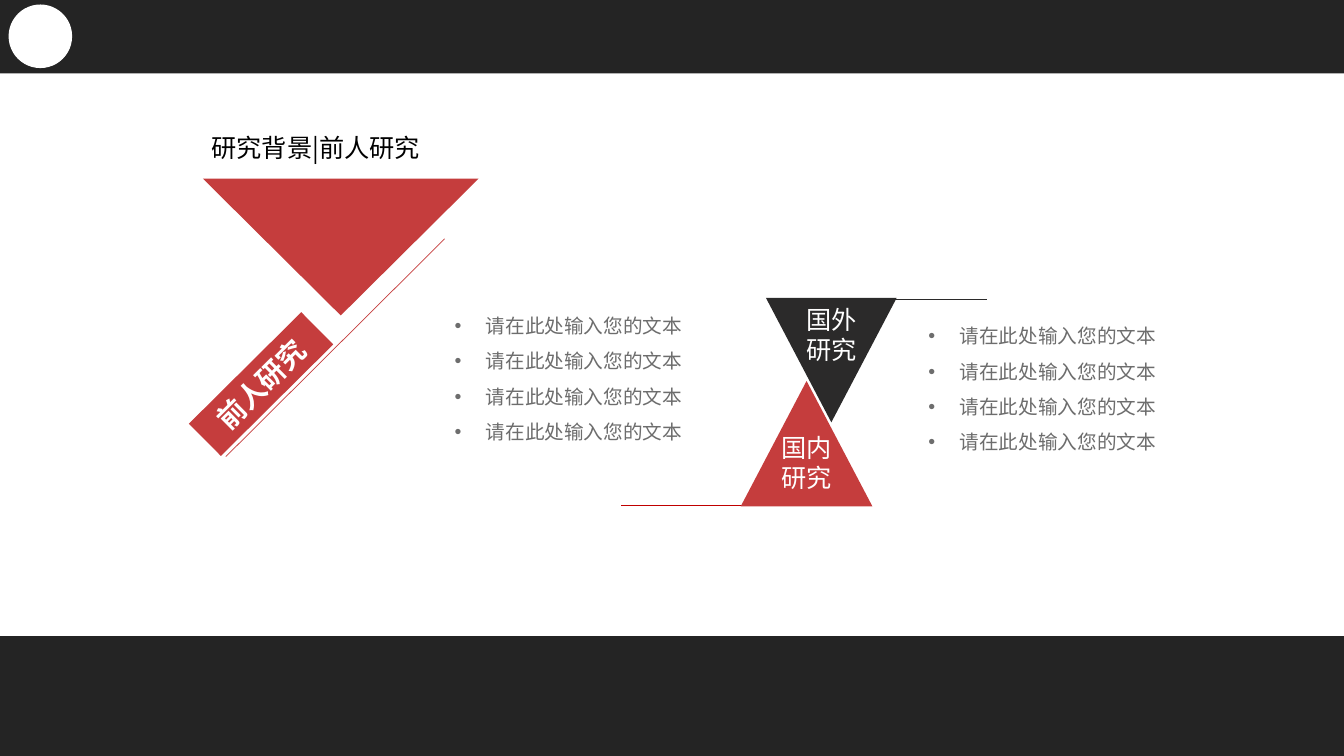
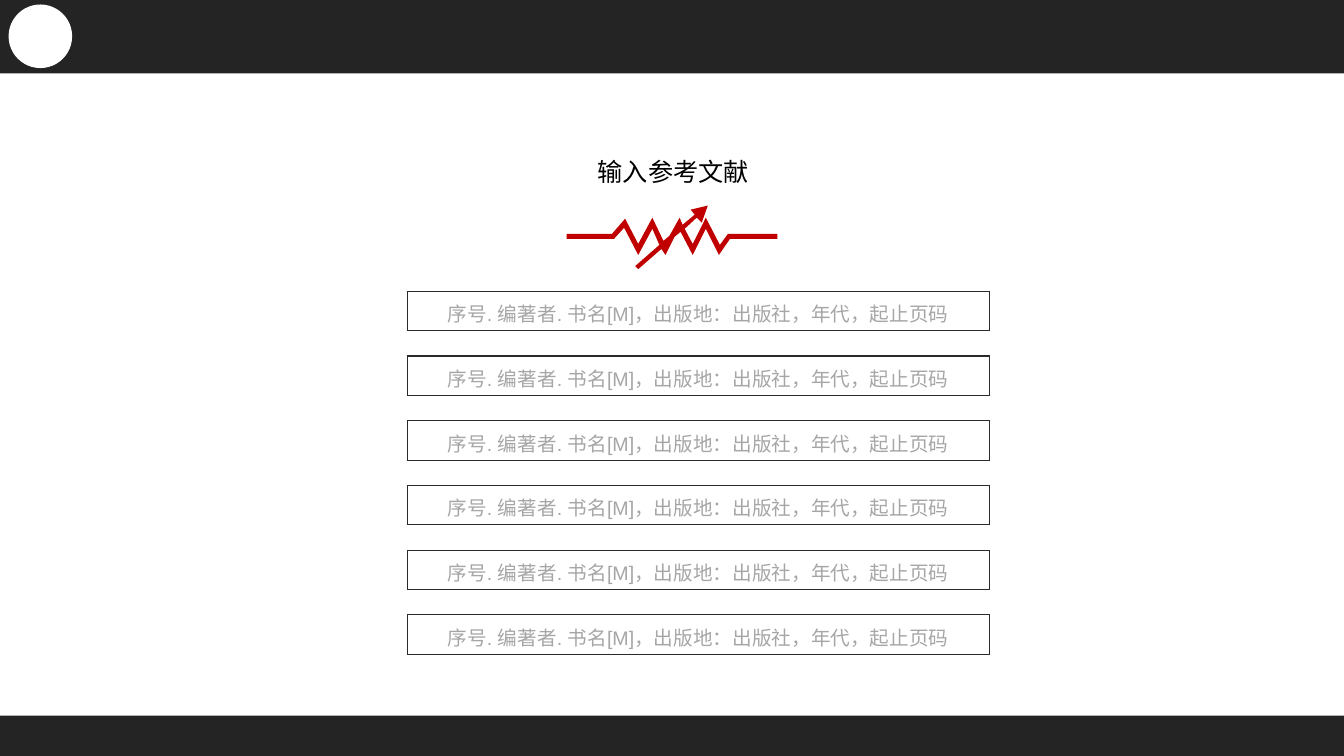
from lxml import etree
from pptx import Presentation
from pptx import util as u
from pptx.dml.color import RGBColor
from pptx.enum import shapes, text
from pptx.oxml.ns import qn

WIDTH, HEIGHT = 13.33, 7.5
BAND, DARK, RED, DEEP_RED = "242424", "2B2A2A", "C53D3D", "C00000"
WHITE, BLACK, GREY, PALE = "FFFFFF", "000000", "6D6D6D", "A6A6A6"
SANS_JP, SANS_SC = "Noto Sans CJK JP", "Noto Sans CJK SC"
HEADER_HEIGHT = 0.73
INDENT = 0.31

TITLE = {"size": 18, "color": BLACK}
BULLET = {"size": 14, "color": GREY, "font": SANS_SC}
TRIANGLE_LABEL = {"size": 18, "color": WHITE, "font": SANS_SC}
TAG_LABEL = {"size": 20, "color": WHITE, "font": SANS_JP, "bold": True}
REFERENCE = {"size": 14, "color": PALE, "font": "Arial", "east_asian": SANS_SC}

BULLET_LINES = ["请在此处输入您的文本"] * 4
REFERENCE_TEXT = "序号. 编著者. 书名[M]，出版地：出版社，年代，起止页码"
REFERENCE_COUNT = 6
FIRST_ROW, LAST_ROW = 2.89, 6.1

FUNNEL = [(2.03, 1.78), (4.73, 1.78), (3.38, 3.12)]
RESISTOR = [
    (7.02, 2.04), (6.96, 2.21), (6.91, 2.16), (6.79, 2.27), (6.87, 2.42),
    (6.97, 2.22), (7, 2.16), (7.14, 2.43), (7.22, 2.32), (7.71, 2.32),
    (7.71, 2.37), (7.24, 2.37), (7.13, 2.53), (7, 2.27), (6.87, 2.53),
    (6.75, 2.3), (6.69, 2.35), (6.6, 2.53), (6.56, 2.47), (6.33, 2.67),
    (6.3, 2.64), (6.54, 2.43), (6.47, 2.27), (6.33, 2.53), (6.19, 2.26),
    (6.09, 2.37), (5.62, 2.37), (5.62, 2.32), (6.07, 2.32), (6.2, 2.17),
    (6.33, 2.42), (6.47, 2.16), (6.58, 2.39), (6.64, 2.34), (6.74, 2.16),
    (6.77, 2.23), (6.89, 2.13), (6.85, 2.08),
]


def rgb(value):
    return RGBColor.from_string(value)


def paint(shape, fill=None, line=None, weight=0.75):
    """Set fill and sharp-cornered outline; None leaves either one empty."""
    shape.shadow.inherit = False
    if fill:
        shape.fill.solid()
        shape.fill.fore_color.rgb = rgb(fill)
    else:
        shape.fill.background()
    if line:
        shape.line.color.rgb = rgb(line)
        shape.line.width = u.Pt(weight)
        outline = shape._element.spPr.find(qn("a:ln"))
        etree.SubElement(outline, qn("a:miter"), lim="800000")
    else:
        shape.line.fill.background()


def add_preset(page, kind, place, rotation=0, **colours):
    shape = page.shapes.add_shape(kind, *map(u.Inches, place))
    shape.rotation = rotation
    paint(shape, **colours)
    return shape


def add_outline(page, points, **colours):
    corners = [(u.Inches(x), u.Inches(y)) for x, y in points]
    builder = page.shapes.build_freeform(*corners[0])
    builder.add_line_segments(corners[1:], close=True)
    paint(builder.convert_to_shape(), **colours)


def add_line(page, start, end, colour):
    line = page.shapes.add_connector(
        shapes.MSO_CONNECTOR.STRAIGHT, *map(u.Inches, start + end))
    line.line.color.rgb = rgb(colour)
    line.line.width = u.Pt(0.5)
    etree.SubElement(line._element.spPr, qn("a:effectLst"))


def write(shape, lines, style, align=text.PP_ALIGN.LEFT, **frame_format):
    """Fill a shape with one paragraph per line; return the paragraphs."""
    frame = shape.text_frame
    frame.word_wrap = True
    for name, value in frame_format.items():
        setattr(frame, name, value)
    frame.text = "\n".join(lines)
    font_format = {"size": u.Pt(style["size"]), "name": style["font"],
                   "bold": style.get("bold", False)}
    for para in frame.paragraphs:
        para.alignment = align
        span = para.runs[0]
        for name, value in font_format.items():
            setattr(span.font, name, value)
        span.font.color.rgb = rgb(style["color"])
        etree.SubElement(span._r.get_or_add_rPr(), qn("a:ea"),
                         typeface=style.get("east_asian", style["font"]))
    return frame.paragraphs


def add_text(page, place, lines, style, align=text.PP_ALIGN.LEFT,
             auto_size=text.MSO_AUTO_SIZE.SHAPE_TO_FIT_TEXT):
    box = page.shapes.add_textbox(*map(u.Inches, place))
    return write(box, lines, style, align, auto_size=auto_size)


def add_bullets(page, left, top):
    paras = add_text(page, (left, top, 2.68, 1.11), BULLET_LINES, BULLET,
                     text.PP_ALIGN.JUSTIFY, text.MSO_AUTO_SIZE.NONE)
    for para in paras:
        para.line_spacing = 1.5
        props = para._p.get_or_add_pPr()
        props.set("marL", str(u.Inches(INDENT)))
        props.set("indent", str(-u.Inches(INDENT)))
        etree.SubElement(props, qn("a:buFont"), typeface="Arial")
        etree.SubElement(props, qn("a:buChar"), char="•")


def add_page(deck, footer_height):
    """Add a blank slide with its header, badge and footer."""
    page = deck.slides.add_slide(deck.slide_layouts[6])
    bands = ((0, HEADER_HEIGHT), (HEIGHT - footer_height, footer_height))
    for top, height in bands:
        add_preset(page, shapes.MSO_SHAPE.RECTANGLE,
                   (0, top, WIDTH, height), fill=BAND)
    add_preset(page, shapes.MSO_SHAPE.OVAL, (0.09, 0.05, 0.62, 0.62),
               fill=WHITE, line=WHITE)
    return page


def build_research(deck):
    page = add_page(deck, 1.19)
    add_line(page, (4.41, 2.37), (2.24, 4.53), RED)
    add_outline(page, FUNNEL, fill=RED, line=RED, weight=1)
    tag = add_preset(page, shapes.MSO_SHAPE.RECTANGLE,
                     (1.81, 3.59, 1.56, 0.44), 315.2, fill=RED, line=RED)
    write(tag, ["前人研究"], TAG_LABEL, text.PP_ALIGN.CENTER)
    add_text(page, (2, 1.26, 7.36, 0.4), ["研究背景|前人研究"],
             {**TITLE, "font": SANS_JP})

    triangle = shapes.MSO_SHAPE.ISOSCELES_TRIANGLE
    add_preset(page, triangle, (7.62, 2.97, 1.25, 1.19), 180,
               fill=DARK, line=DARK, weight=2)
    add_line(page, (8.87, 2.97), (9.79, 2.97), DARK)
    add_line(page, (7.37, 5.01), (6.16, 5.01), DEEP_RED)
    domestic = add_preset(page, triangle, (7.37, 3.81, 1.26, 1.2),
                          fill=RED, line=RED, weight=2)
    write(domestic, ["国内研究"], TRIANGLE_LABEL, text.PP_ALIGN.CENTER,
          vertical_anchor=text.MSO_ANCHOR.BOTTOM, margin_left=0,
          margin_top=0, margin_right=0, margin_bottom=u.Inches(0.12))
    add_text(page, (7.9, 2.97, 0.73, 0.71), ["国外研究"], TRIANGLE_LABEL)
    add_bullets(page, 4.41, 2.95)
    add_bullets(page, 9.11, 3.05)


def build_references(deck):
    page = add_page(deck, 0.4)
    add_outline(page, RESISTOR, fill=DEEP_RED)
    add_text(page, (5.83, 1.5, 1.91, 0.4), ["输入参考文献"],
             {**TITLE, "font": SANS_SC})
    pitch = (LAST_ROW - FIRST_ROW) / (REFERENCE_COUNT - 1)
    for row in range(REFERENCE_COUNT):
        box = add_preset(page, shapes.MSO_SHAPE.RECTANGLE,
                         (4.04, FIRST_ROW + row * pitch, 5.77, 0.39),
                         line=DARK)
        write(box, [REFERENCE_TEXT], REFERENCE, text.PP_ALIGN.CENTER,
              vertical_anchor=text.MSO_ANCHOR.BOTTOM)


def main():
    deck = Presentation()
    deck.slide_width = u.Inches(WIDTH)
    deck.slide_height = u.Inches(HEIGHT)
    build_research(deck)
    build_references(deck)
    deck.save("out.pptx")


if __name__ == "__main__":
    main()
